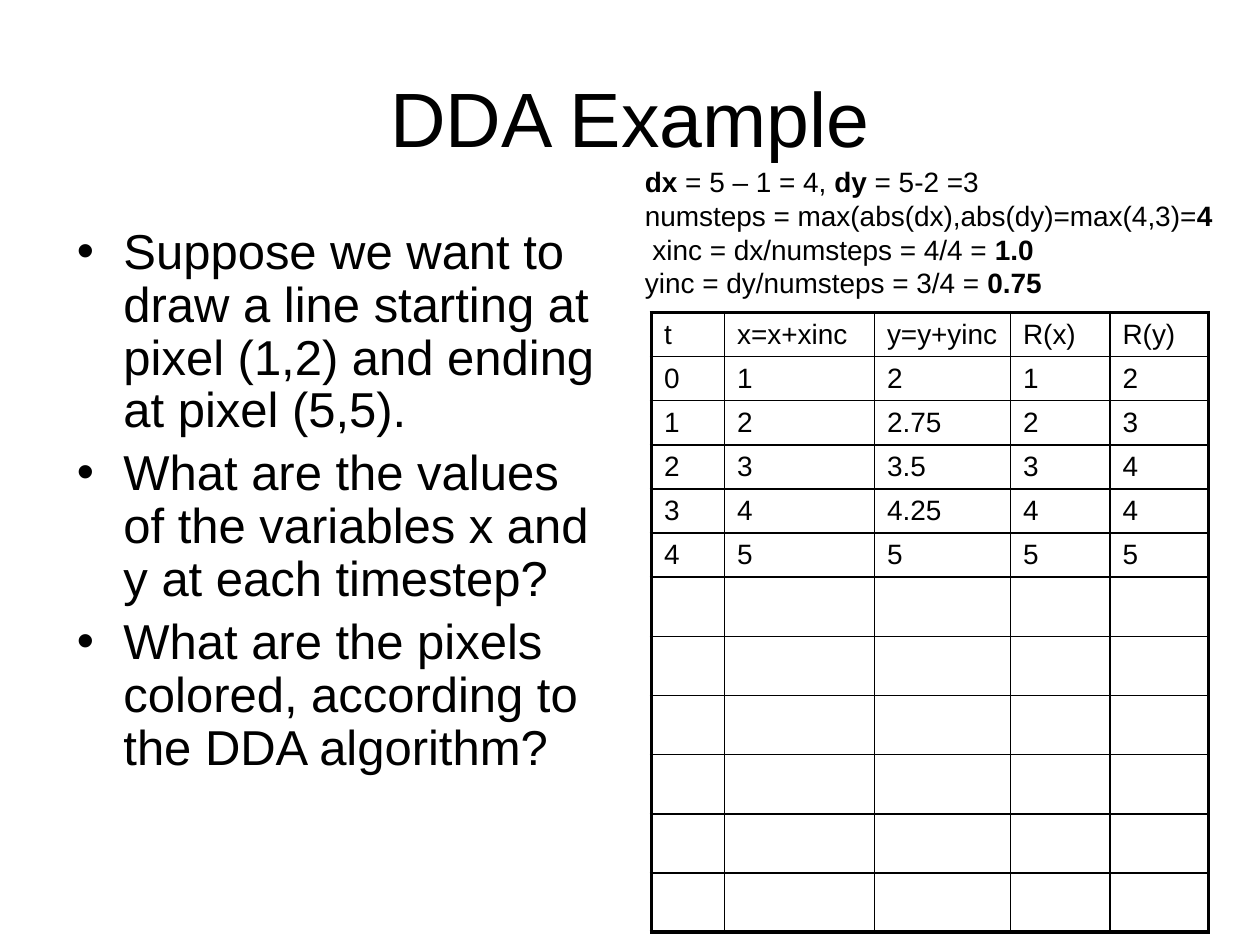
from lxml import etree
from pptx import Presentation
from pptx import util as u
from pptx.dml.color import RGBColor
from pptx.enum import text
from pptx.oxml.ns import qn

FONT = "Arial"
BLACK = "000000"
BULLETS = [
    "Suppose we want to draw a line starting at pixel (1,2) and ending at pixel (5,5).",
    "What are the values of the variables x and y at each timestep?",
    "What are the pixels colored, according to the DDA algorithm?",
]
WORKING = [
    [("dx", True), (" = 5 – 1 = 4, ", False), ("dy", True), (" = 5-2 =3", False)],
    [("numsteps = max(abs(dx),abs(dy)=max(4,3)=", False), ("4", True)],
    [("xinc = dx/numsteps = 4/4 = ", False), ("1.0", True)],
    [("yinc = dy/numsteps = 3/4 = ", False), ("0.75", True)],
]
STEPS = [
    ["t", "x=x+xinc", "y=y+yinc", "R(x)", "R(y)"],
    ["0", "1", "2", "1", "2"],
    ["1", "2", "2.75", "2", "3"],
    ["2", "3", "3.5", "3", "4"],
    ["3", "4", "4.25", "4", "4"],
    ["4", "5", "5", "5", "5"],
]
EMPTY_ROWS = 6
COL_WIDTHS = [0.58, 1.19, 1.08, 0.79, 0.78]


def rgb(color):
    return RGBColor.from_string(color)


def style(r, size, bold=False):
    r.font.name = FONT
    r.font.size = u.Pt(size)
    r.font.bold = bold
    r.font.color.rgb = rgb(BLACK)


def place(sp, box):
    sp.left, sp.top, sp.width, sp.height = (u.Inches(v) for v in box)


def set_indent(p, left, first=0):
    pPr = p._p.get_or_add_pPr()
    pPr.set("marL", str(u.Inches(left)))
    pPr.set("indent", str(u.Inches(first)))
    return pPr


def add_title(s, box):
    sp = s.shapes.title
    place(sp, box)
    tf = sp.text_frame
    tf.text = "DDA Example"
    tf.auto_size = text.MSO_AUTO_SIZE.NONE
    tf.vertical_anchor = text.MSO_ANCHOR.MIDDLE
    p = tf.paragraphs[0]
    p.alignment = text.PP_ALIGN.CENTER
    style(p.runs[0], 44)


def add_questions(s, box):
    sp = s.placeholders[1]
    place(sp, box)
    tf = sp.text_frame
    tf.text = "\n".join(BULLETS)
    tf.auto_size = text.MSO_AUTO_SIZE.NONE
    for i, p in enumerate(tf.paragraphs):
        pPr = set_indent(p, 0.38, -0.37)
        etree.SubElement(pPr, qn("a:buChar"), char="•")
        p.line_spacing = 0.9
        p.space_before = u.Pt(5.6 if i else 0)
        style(p.runs[0], 28)


def add_working(s, box):
    sp = s.shapes.add_textbox(*(u.Inches(v) for v in box))
    tf = sp.text_frame
    tf.word_wrap = True
    for i, line in enumerate(WORKING):
        p = tf.add_paragraph() if i else tf.paragraphs[0]
        for words, bold in line:
            r = p.add_run()
            r.text = words
            style(r, 16, bold)
    set_indent(tf.paragraphs[2], 0.06)


def set_border(cell, side, width):
    ln = etree.SubElement(cell._tc.get_or_add_tcPr(), qn(f"a:ln{side}"), w=str(u.Pt(width)))
    fill = etree.SubElement(ln, qn("a:solidFill"))
    etree.SubElement(fill, qn("a:srgbClr"), val=BLACK)


def add_steps(s, box):
    n_rows, n_cols = len(STEPS) + EMPTY_ROWS, len(COL_WIDTHS)
    tbl = s.shapes.add_table(n_rows, n_cols, *(u.Inches(v) for v in box)).table
    tbl.first_row = tbl.horz_banding = False
    for col, width in zip(tbl.columns, COL_WIDTHS):
        col.width = u.Inches(width)
    for i, row in enumerate(tbl.rows):
        row.height = u.Inches(0.35 if i < len(STEPS) else 0.47)
        for j, cell in enumerate(row.cells):
            outer = {"L": j == 0, "R": j == n_cols - 1, "T": i == 0, "B": i == n_rows - 1}
            for side, is_outer in outer.items():
                set_border(cell, side, 2.21 if is_outer else 0.96)
            cell.fill.background()
            cell.margin_top = cell.margin_bottom = u.Inches(0.03)
            cell.vertical_anchor = text.MSO_ANCHOR.MIDDLE
            if i < len(STEPS):
                cell.text_frame.text = STEPS[i][j]
                style(cell.text_frame.paragraphs[0].runs[0], 16)


def main():
    prs = Presentation()
    prs.slide_width, prs.slide_height = u.Inches(10), u.Inches(7.5)
    s = prs.slides.add_slide(prs.slide_layouts[1])
    s.background.fill.solid()
    s.background.fill.fore_color.rgb = rgb("FFFFFF")
    add_title(s, (0.5, 0.3, 9, 1.25))
    add_questions(s, (0.5, 1.75, 4.41, 4.5))
    add_working(s, (5.02, 1.26, 4.85, 1.15))
    add_steps(s, (5.17, 2.48, 4.42, 4.9))
    prs.save("out.pptx")


if __name__ == "__main__":
    main()
